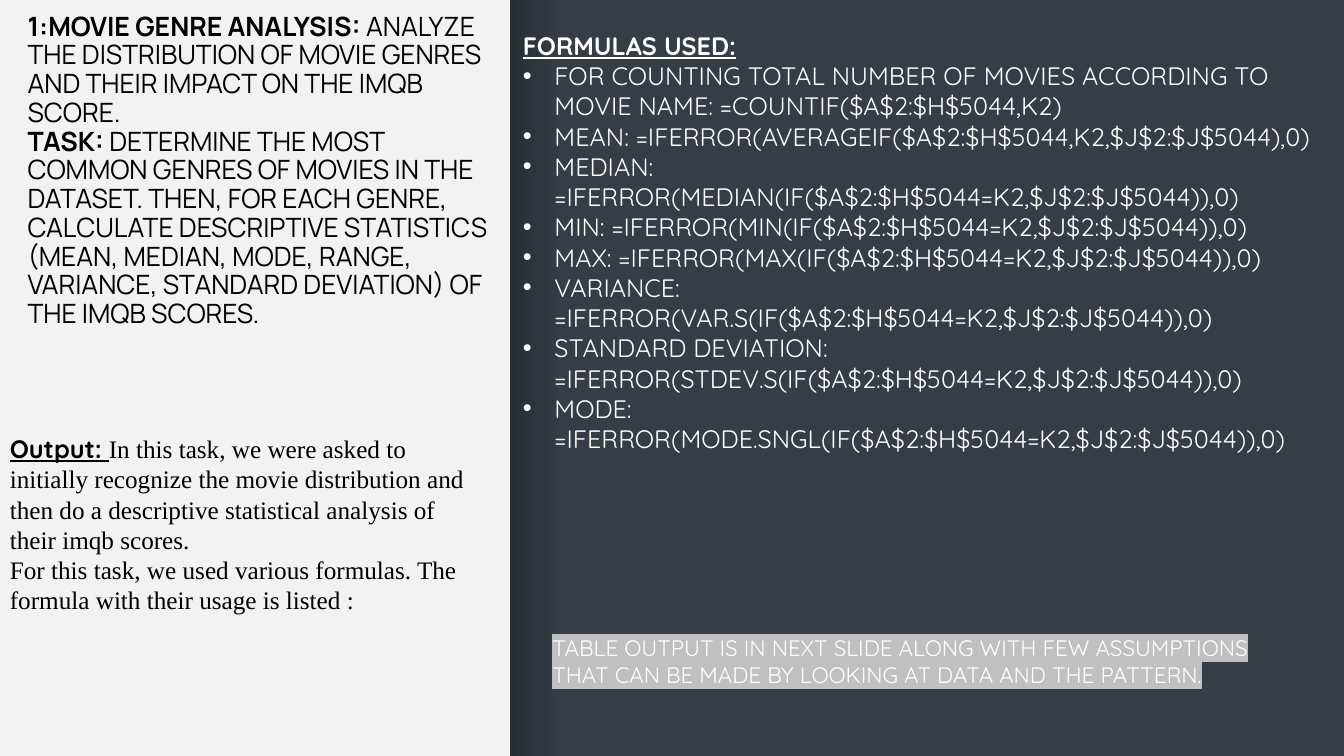
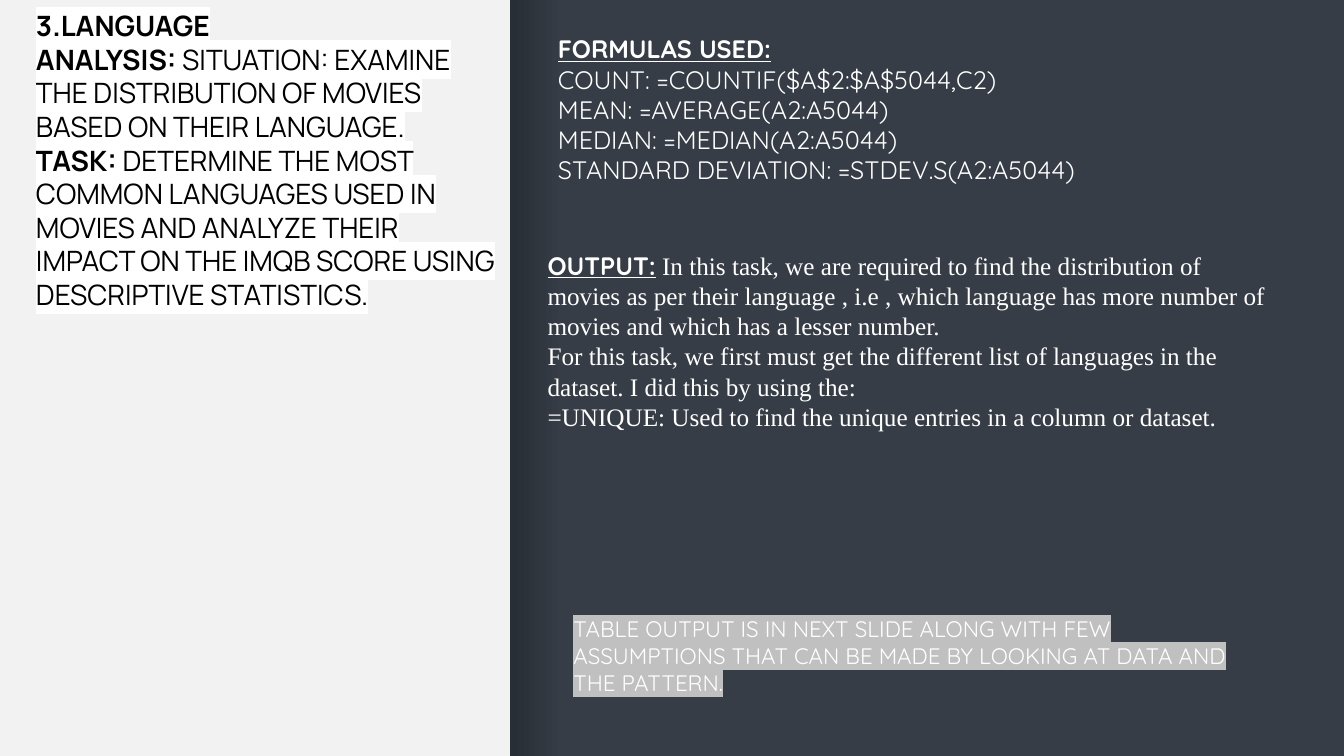
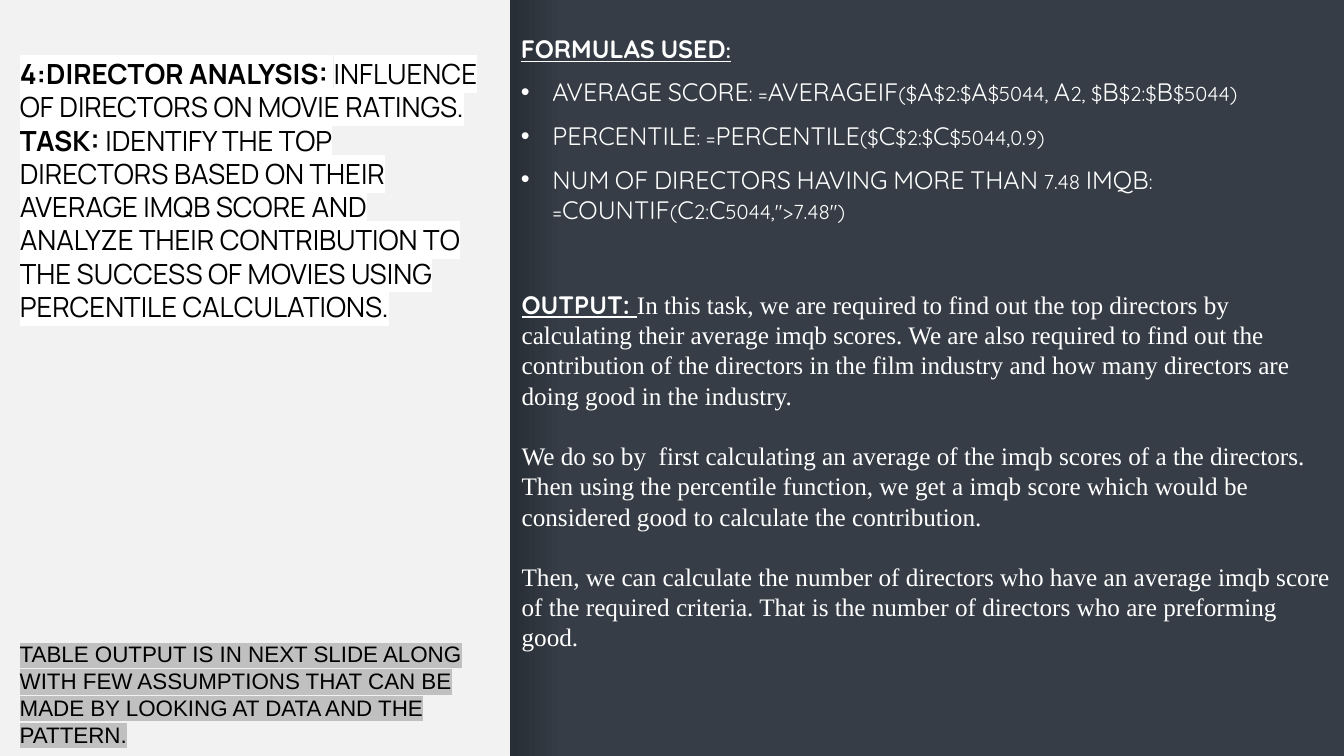
"""Build three slides on movie genre, language and director analysis."""
from lxml import etree
from pptx import Presentation
from pptx.dml.color import RGBColor
from pptx.enum import shapes, text
from pptx.oxml import ns
from pptx.util import Pt

PAPER, PANEL, EDGE = "F2F2F2", "363D46", "282E35"
BLACK, WHITE, GREY = "000000", "FFFFFF", "C0C0C0"
HEADING, BODY, SERIF, PLAIN = "Manrope", "Quicksand", "Times New Roman", "Arial"
NO_BREAK_SPACE = chr(160)
NOTE = ("TABLE OUTPUT IS IN NEXT SLIDE ALONG WITH FEW ASSUMPTIONS THAT CAN BE MADE "
        "BY LOOKING AT DATA AND THE PATTERN.")


def color(value):
    return RGBColor.from_string(value)


def write(shape, paragraphs, size, font, ink, label_font=None, highlight=None, underline=True,
          bullets=False, small_caps=False, spacing=1.2, before=0, after=0):
    frame = shape.text_frame
    frame.word_wrap = True
    frame.auto_size = text.MSO_AUTO_SIZE.NONE
    frame.vertical_anchor = text.MSO_ANCHOR.TOP
    for index, (label, body, *gap) in enumerate(paragraphs):
        paragraph = frame.add_paragraph() if index else frame.paragraphs[0]
        paragraph.alignment = text.PP_ALIGN.LEFT
        paragraph.line_spacing = Pt(round(size * spacing, 2))
        paragraph.space_before = Pt(gap[0] if gap else before if index else 0)
        paragraph.space_after = Pt(after)
        if bullets and not label:
            properties = paragraph._p.get_or_add_pPr()
            properties.set("marL", str(Pt(22.5)))
            properties.set("indent", str(-Pt(22.5)))
            etree.SubElement(properties, ns.qn("a:buFont")).set("typeface", PLAIN)
            etree.SubElement(properties, ns.qn("a:buChar")).set("char", "•")
        paragraph.font.size = Pt(size)
        paragraph.font.name = font
        paragraph.font.color.rgb = color(ink)
        for content, is_label in ((label, True), (body, False)):
            if not content:
                continue
            run = paragraph.add_run()
            run.text = content
            run.font.bold = is_label
            if is_label:
                run.font.underline = underline
                if label_font:
                    run.font.name = label_font
            properties = run._r.get_or_add_rPr()
            if small_caps:
                properties.set("cap", "small")
            if highlight:
                mark = etree.Element(ns.qn("a:highlight"))
                etree.SubElement(mark, ns.qn("a:srgbClr")).set("val", highlight)
                properties.insert(0, mark)


FORMULA_STYLE = dict(size=18, font=BODY, ink=WHITE)
OUTPUT_STYLE = dict(size=18, font=SERIF, ink=WHITE, label_font=BODY)
NOTE_STYLE = dict(size=16, font=BODY, ink=WHITE, highlight=GREY)

SLIDES = [
    dict(
        title=((12.5, 5.5, 346, 240), dict(size=19, spacing=1.08), [
            ("1:MOVIE GENRE ANALYSIS:", " ANALYZE THE DISTRIBUTION OF MOVIE GENRES AND THEIR "
             "IMPACT ON THE IMQB SCORE."),
            ("TASK:", " DETERMINE THE MOST COMMON GENRES OF MOVIES IN THE DATASET. THEN, FOR EACH "
             "GENRE, CALCULATE DESCRIPTIVE STATISTICS (MEAN, MEDIAN, MODE, RANGE, VARIANCE, "
             "STANDARD DEVIATION) OF THE IMQB SCORES."),
        ]),
        boxes=[
            ((366.5, 18, 587, 312), dict(FORMULA_STYLE, bullets=True), [
                ("FORMULAS USED:", ""),
                ("", "FOR COUNTING TOTAL NUMBER OF MOVIES ACCORDING TO MOVIE NAME: "
                 "=COUNTIF($A$2:$H$5044,K2)"),
                ("", "MEAN: =IFERROR(AVERAGEIF($A$2:$H$5044,K2,$J$2:$J$5044),0)"),
                ("", "MEDIAN: =IFERROR(MEDIAN(IF($A$2:$H$5044=K2,$J$2:$J$5044)),0)"),
                ("", "MIN: =IFERROR(MIN(IF($A$2:$H$5044=K2,$J$2:$J$5044)),0)"),
                ("", "MAX: =IFERROR(MAX(IF($A$2:$H$5044=K2,$J$2:$J$5044)),0)"),
                ("", "VARIANCE: =IFERROR(VAR.S(IF($A$2:$H$5044=K2,$J$2:$J$5044)),0)"),
                ("", "STANDARD DEVIATION: =IFERROR(STDEV.S(IF($A$2:$H$5044=K2,$J$2:$J$5044)),0)"),
                ("", "MODE: =IFERROR(MODE.SNGL(IF($A$2:$H$5044=K2,$J$2:$J$5044)),0)"),
            ]),
            ((0, 306, 346, 160), dict(OUTPUT_STYLE, ink=BLACK), [
                ("Output: ", "In this task, we were asked to initially recognize the movie "
                 "distribution and then do a descriptive statistical analysis of their imqb scores."),
                ("", "For this task, we used various formulas. The formula with their usage is "
                 "listed :"),
            ]),
            ((387.5, 449.5, 545, 46), NOTE_STYLE, [("", NOTE)]),
        ],
    ),
    dict(
        title=((18.5, 2.5, 346, 240), dict(size=20, highlight=WHITE), [
            ("3.LANGUAGE ANALYSIS:" + NO_BREAK_SPACE, "SITUATION: EXAMINE THE DISTRIBUTION OF "
             "MOVIES BASED ON THEIR LANGUAGE."),
            ("TASK:", " DETERMINE THE MOST COMMON LANGUAGES USED IN MOVIES AND ANALYZE THEIR "
             "IMPACT ON THE IMQB SCORE USING DESCRIPTIVE STATISTICS."),
        ]),
        boxes=[
            ((391.5, 20.5, 482, 117), FORMULA_STYLE, [
                ("FORMULAS USED:", ""),
                ("", "COUNT: =COUNTIF($A$2:$A$5044,C2)"),
                ("", "MEAN: =AVERAGE(A2:A5044)"),
                ("", "MEDIAN: =MEDIAN(A2:A5044)"),
                ("", "STANDARD DEVIATION: =STDEV.S(A2:A5044)"),
            ]),
            ((384, 175, 528, 138), OUTPUT_STYLE, [
                ("OUTPUT:", " In this task, we are required to find the distribution of movies as "
                 "per their language , i.e , which language has more number of movies and which "
                 "has a lesser number."),
                ("", "For this task, we first must get the different list of languages in the "
                 "dataset. I did this by using the:"),
                ("", "=UNIQUE: Used to find the unique entries in a column or dataset."),
            ]),
            ((402.5, 436, 482, 66), NOTE_STYLE, [("", NOTE)]),
        ],
    ),
    dict(
        title=((7, 37, 346, 240), dict(size=19.8, highlight=WHITE), [
            ("4:DIRECTOR ANALYSIS: ", "INFLUENCE OF DIRECTORS ON MOVIE RATINGS."),
            ("TASK: ", "IDENTIFY THE TOP DIRECTORS BASED ON THEIR AVERAGE IMQB SCORE AND ANALYZE "
             "THEIR CONTRIBUTION TO THE SUCCESS OF MOVIES USING PERCENTILE CALCULATIONS."),
        ]),
        boxes=[
            ((365, 20, 595, 150),
             dict(FORMULA_STYLE, bullets=True, small_caps=True, before=3.6, after=6), [
                ("FORMULAS USED:", ""),
                ("", "AVERAGE SCORE: =AVERAGEIF($A$2:$A$5044, A2, $B$2:$B$5044)"),
                ("", "PERCENTILE: =PERCENTILE($C$2:$C$5044,0.9)"),
                ("", "NUM OF DIRECTORS HAVING MORE THAN 7.48 IMQB: =COUNTIF(C2:C5044,\">7.48\")"),
            ]),
            ((365.5, 203, 594, 270), OUTPUT_STYLE, [
                ("OUTPUT: ", "In this task, we are required to find out the top directors by "
                 "calculating their average imqb scores. We are also required to find out the "
                 "contribution of the directors in the film industry and how many directors are "
                 "doing good in the industry."),
                ("", "We do so by  first calculating an average of the imqb scores of a the "
                 "directors.", 21.6),
                ("", "Then using the percentile function, we get a imqb score which would be "
                 "considered good to calculate the contribution."),
                ("", "Then, we can calculate the number of directors who have an average imqb "
                 "score of the required criteria. That is the number of directors who are "
                 "preforming good.", 21.6),
            ]),
            ((7, 454, 359, 80), dict(NOTE_STYLE, font=PLAIN, ink=BLACK), [("", NOTE)]),
        ],
    ),
]

presentation = Presentation()
presentation.slide_width, presentation.slide_height = Pt(960), Pt(540)
background = presentation.slide_master.background.fill
background.solid()
background.fore_color.rgb = color(PAPER)

for content in SLIDES:
    slide = presentation.slides.add_slide(presentation.slide_layouts[5])
    position, style, paragraphs = content["title"]
    title = slide.shapes.title
    title.left, title.top, title.width, title.height = map(Pt, position)
    write(title, paragraphs, font=HEADING, ink=BLACK, underline=False, **style)

    panel = slide.shapes.add_shape(shapes.MSO_SHAPE.RECTANGLE, Pt(365), 0, Pt(595), Pt(540))
    panel.fill.solid()
    panel.fill.fore_color.rgb = color(PANEL)
    shade = slide.shapes.add_shape(shapes.MSO_SHAPE.RECTANGLE, Pt(366), 0, Pt(36.5), Pt(540))
    shade.fill.gradient()
    shade.fill.gradient_angle = 0
    for stop, value in zip(shade.fill.gradient_stops, (EDGE, PANEL)):
        stop.color.rgb = color(value)
    for shape in (panel, shade):
        shape.line.fill.background()
        shape.shadow.inherit = False
    divider = slide.shapes.add_connector(
        shapes.MSO_CONNECTOR.STRAIGHT, Pt(366), 0, Pt(366), Pt(540))
    divider.line.color.rgb = color(EDGE)
    divider.line.width = Pt(3)
    etree.SubElement(divider._element.spPr, ns.qn("a:effectLst"))

    for position, style, paragraphs in content["boxes"]:
        write(slide.shapes.add_textbox(*map(Pt, position)), paragraphs, **style)

presentation.save("out.pptx")
